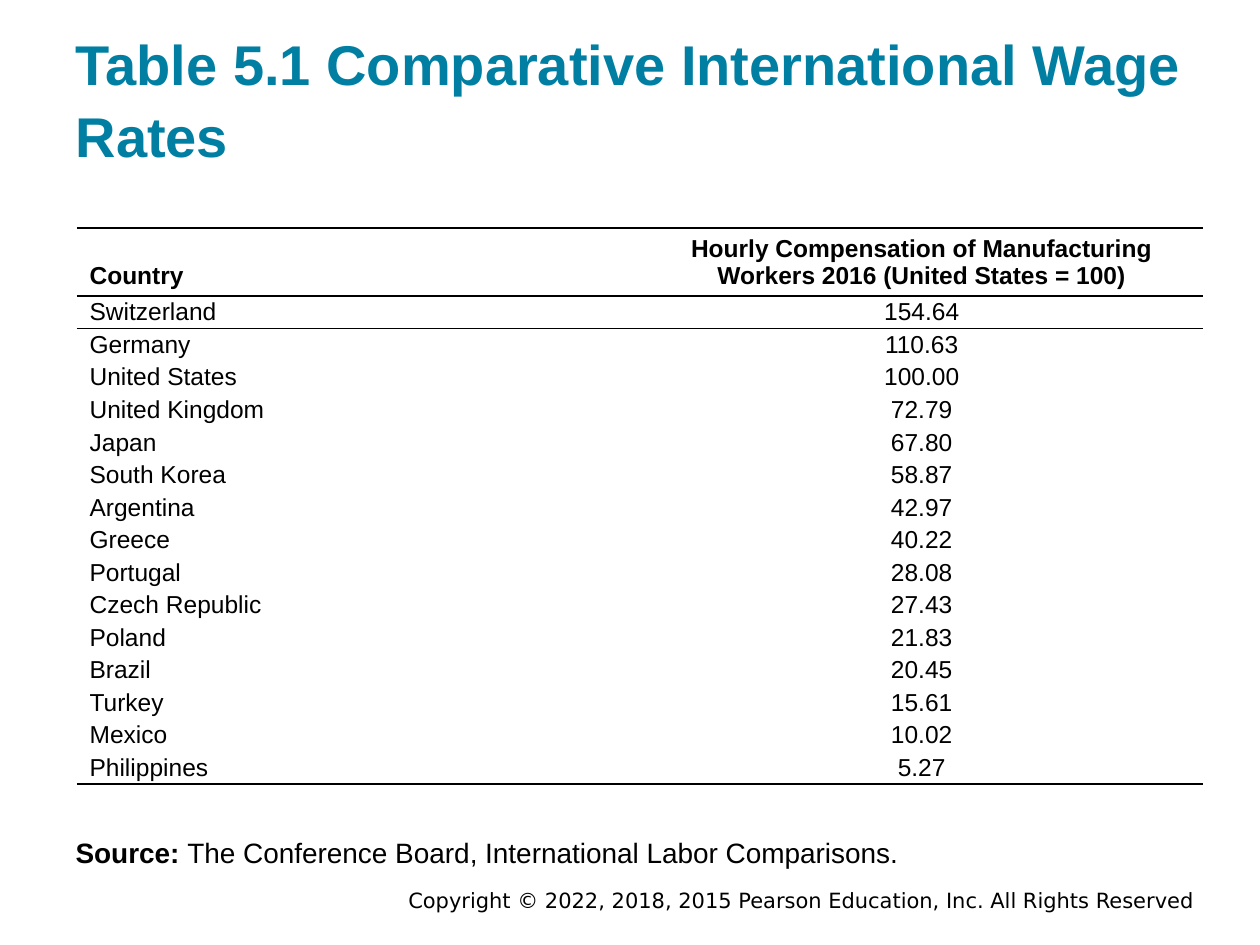
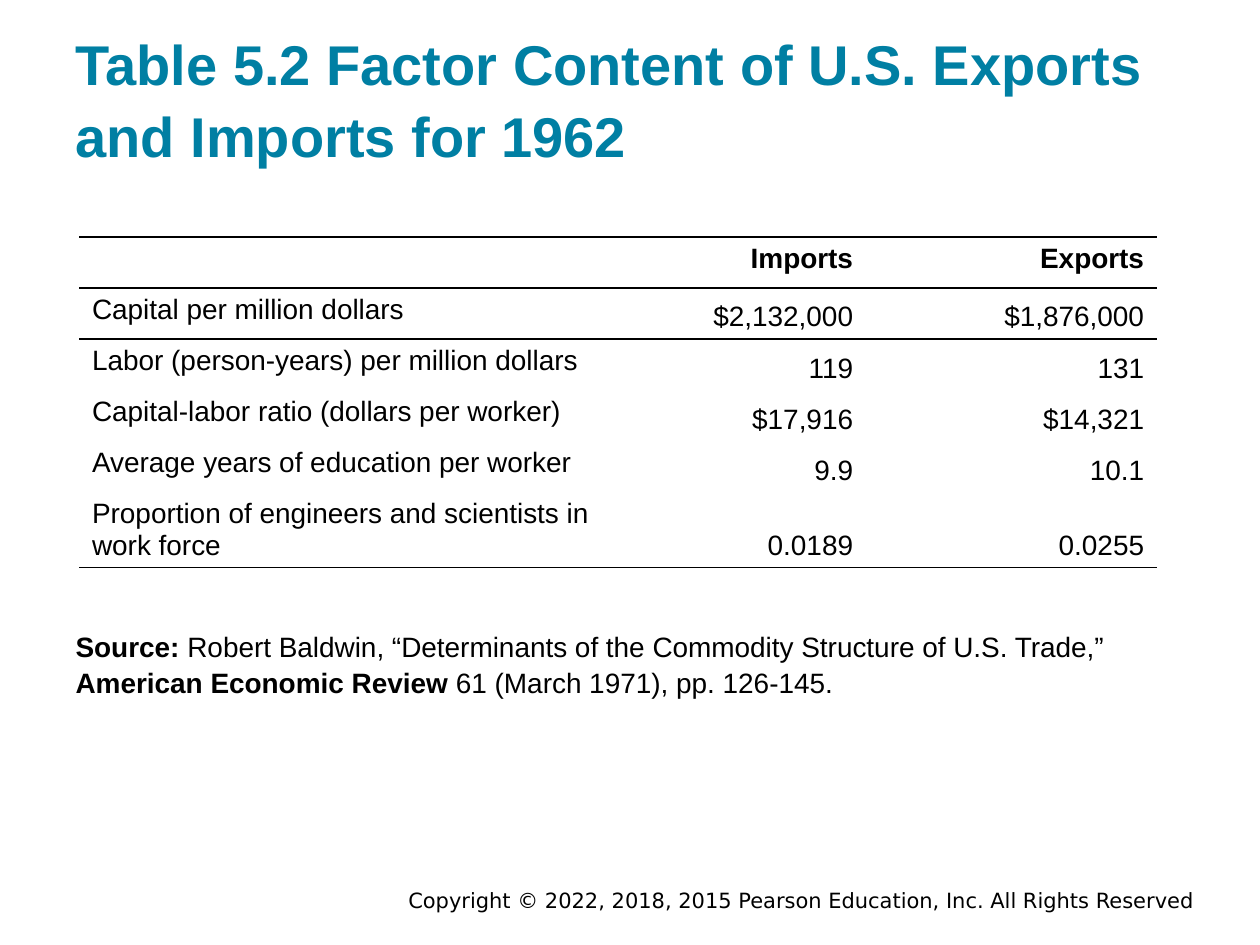
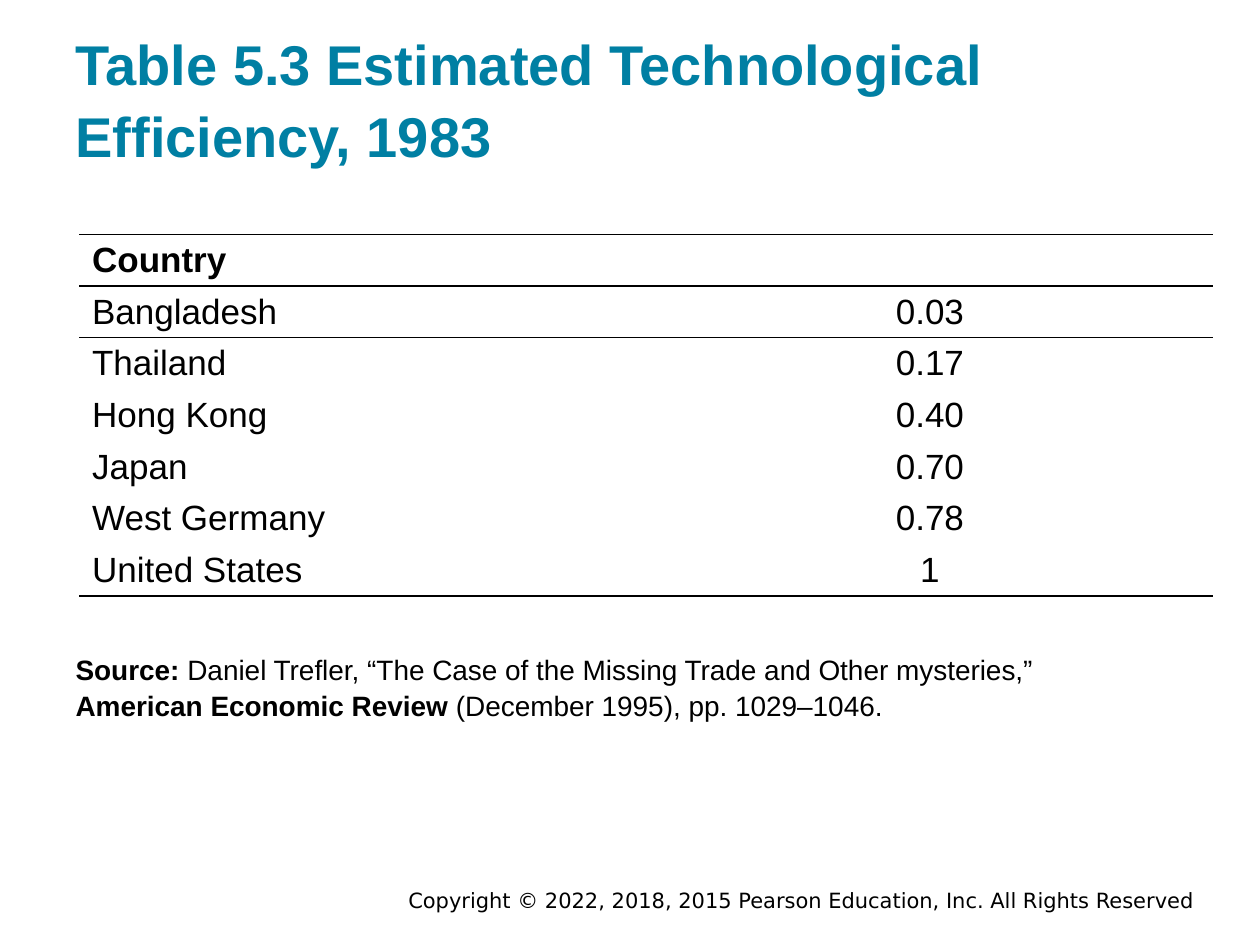
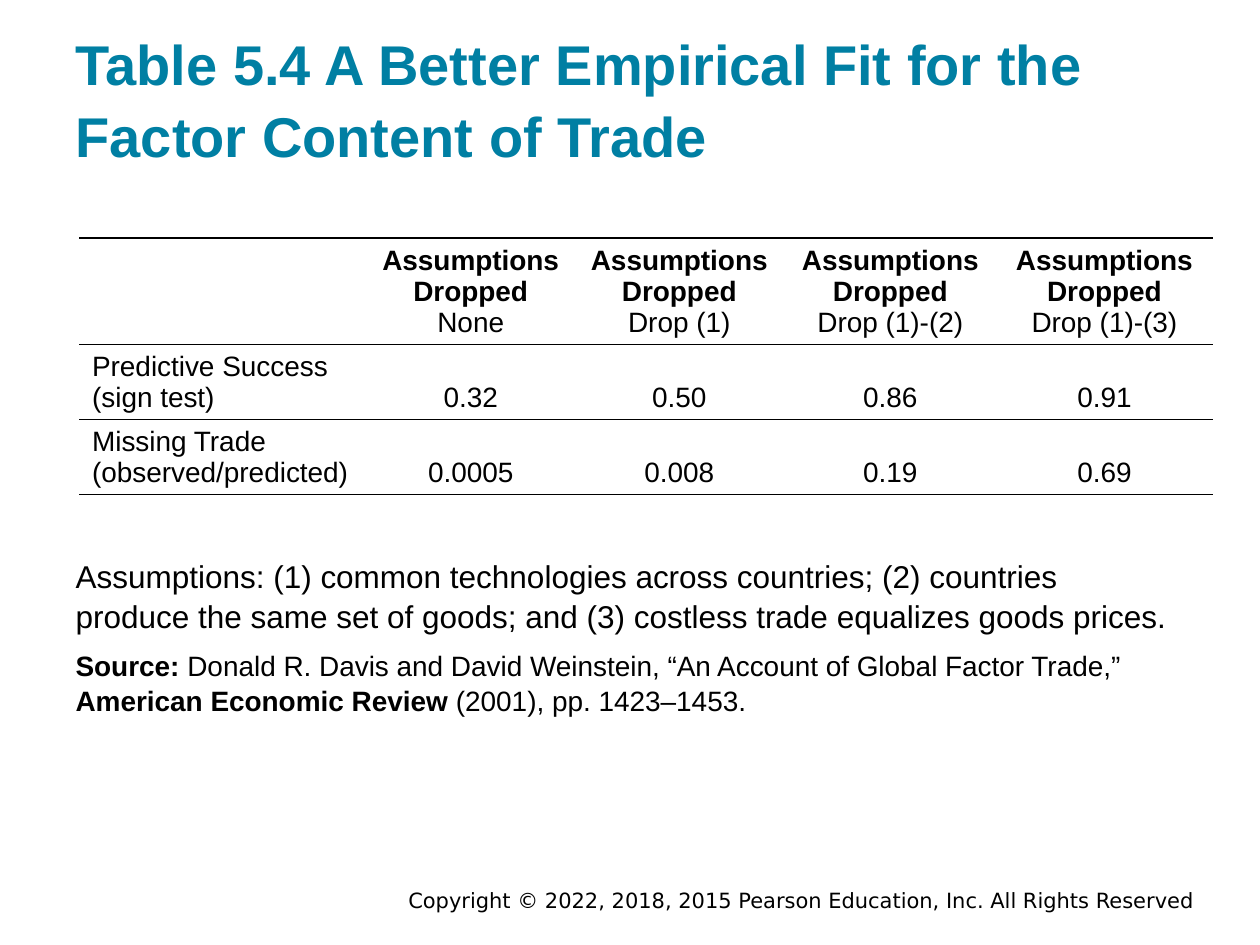
from dataclasses import dataclass

from lxml import etree
from pptx import Presentation
from pptx.dml.color import RGBColor
from pptx.enum.text import MSO_ANCHOR, MSO_AUTO_SIZE, PP_ALIGN
from pptx.oxml.ns import qn
from pptx.util import Pt

LEFT, CENTER, RIGHT = PP_ALIGN.LEFT, PP_ALIGN.CENTER, PP_ALIGN.RIGHT
TOP, MIDDLE, BOTTOM = MSO_ANCHOR.TOP, MSO_ANCHOR.MIDDLE, MSO_ANCHOR.BOTTOM
NO_FIT = MSO_AUTO_SIZE.NONE
NO_GRID = "{2D5ABB26-0587-4C30-8999-92F81FD0307C}"


@dataclass(frozen=True)
class Theme:
    ink: str = "000000"
    teal: str = "007FA3"
    paper: str = "FFFFFF"
    face: str = "Arial"
    foot_face: str = "DejaVu Sans"
    title: int = 32
    note: int = 18
    source: int = 16
    foot: int = 12
    rule: int = 1
    leading: float = 1.07


THEME = Theme()
COPYRIGHT = "Copyright © 2022, 2018, 2015 Pearson Education, Inc. All Rights Reserved"


# Shared helpers
def apply(item, formats):
    for name, value in formats.items():
        setattr(item, name, value)


def place(shape, left, top, width, height):
    apply(shape, {"left": Pt(left), "top": Pt(top),
                  "width": Pt(width), "height": Pt(height)})


def frame_up(frame, anchor, top, bottom):
    apply(frame, {"word_wrap": True, "auto_size": NO_FIT, "vertical_anchor": anchor,
                  "margin_left": Pt(7.2), "margin_right": Pt(7.2),
                  "margin_top": Pt(top), "margin_bottom": Pt(bottom)})


def add_run(par, text, size, bold=False, color=THEME.ink, face=THEME.face):
    run = par.add_run()
    run.text = text
    apply(run.font, {"name": face, "size": Pt(size), "bold": bold})
    run.font.color.rgb = RGBColor.from_string(color)


# Title at the top of each slide
def set_title(slide, text):
    title = slide.shapes.title
    place(title, 36, 17.3, 648, 86.4)
    frame_up(title.text_frame, BOTTOM, 7.2, 7.2)
    par = title.text_frame.paragraphs[0]
    apply(par, {"alignment": LEFT, "line_spacing": THEME.leading})
    add_run(par, text, THEME.title, True, THEME.teal)


# Notes below the table; text between asterisks is bold
def set_notes(slide, box, notes):
    body = slide.placeholders[1]
    place(body, *box)
    frame = body.text_frame
    frame_up(frame, TOP, 0, 7.2)
    for i, (size, text) in enumerate(notes):
        par = frame.add_paragraph() if i else frame.paragraphs[0]
        props = par._p.get_or_add_pPr()
        props.set("marL", "0")
        props.set("indent", "0")
        etree.SubElement(props, qn("a:buNone"))
        apply(par, {"alignment": LEFT, "line_spacing": THEME.leading,
                    "space_before": Pt(6 if i else 0)})
        for k, part in enumerate(text.split("*")):
            if part:
                add_run(par, part, size, k % 2 == 1)


# Table with rules above and below the head and below the last row
def add_rule(cell, side):
    props = cell._tc.get_or_add_tcPr()
    line = etree.Element(qn(f"a:{side}"), w=str(Pt(THEME.rule)))
    fill = etree.SubElement(line, qn("a:solidFill"))
    etree.SubElement(fill, qn("a:srgbClr"), val=THEME.ink)
    props.insert(0, line)


def fill_cell(cell, text, size, head, align, anchor, pad):
    cell.fill.solid()
    cell.fill.fore_color.rgb = RGBColor.from_string(THEME.paper)
    apply(cell, {"vertical_anchor": anchor, "margin_left": Pt(7.2),
                 "margin_right": Pt(7.2), "margin_top": Pt(pad),
                 "margin_bottom": Pt(pad)})
    frame = cell.text_frame
    for i, line in enumerate(text.split("\n")):
        par = frame.add_paragraph() if i else frame.paragraphs[0]
        par.alignment = align
        if line:
            add_run(par, line, size, head and i == 0)


def add_grid(slide, at, cols, heights, rows, size, align,
             anchors=(TOP, TOP, TOP), pad=3.6):
    head_anchor, label_anchor, value_anchor = anchors
    frame = slide.shapes.add_table(len(rows), len(cols), Pt(at[0]), Pt(at[1]),
                                   Pt(sum(cols)), Pt(sum(heights)))
    table = frame.table
    apply(table, {"first_row": False, "horz_banding": False})
    table._tbl.tblPr.find(qn("a:tableStyleId")).text = NO_GRID
    for col, width in zip(table.columns, cols):
        col.width = Pt(width)
    for r, (row, height) in enumerate(zip(rows, heights)):
        table.rows[r].height = Pt(height)
        head, last = r == 0, r == len(rows) - 1
        for c, text in enumerate(row):
            cell = table.cell(r, c)
            anchor = head_anchor if head else value_anchor if c else label_anchor
            fill_cell(cell, text, size, head, align if c else LEFT, anchor,
                      3.6 if head else pad)
            if head or last:
                add_rule(cell, "lnB")
            if r < 2:
                add_rule(cell, "lnT")


# Copyright line, kept on the master
def add_footer(prs, slide):
    box = slide.shapes.add_textbox(Pt(126), Pt(506.2), Pt(563.8), Pt(15.8))
    frame_up(box.text_frame, MIDDLE, 3.6, 3.6)
    par = box.text_frame.paragraphs[0]
    par.alignment = RIGHT
    add_run(par, COPYRIGHT, THEME.foot, face=THEME.foot_face)
    box.element.nvSpPr.cNvPr.set("id", "20")
    prs.slide_master.shapes.element.append(box.element)


# Content
WAGES = [
    ("Country", "Hourly Compensation of Manufacturing Workers 2016 (United States = 100)"),
    ("Switzerland", "154.64"), ("Germany", "110.63"), ("United States", "100.00"),
    ("United Kingdom", "72.79"), ("Japan", "67.80"), ("South Korea", "58.87"),
    ("Argentina", "42.97"), ("Greece", "40.22"), ("Portugal", "28.08"),
    ("Czech Republic", "27.43"), ("Poland", "21.83"), ("Brazil", "20.45"),
    ("Turkey", "15.61"), ("Mexico", "10.02"), ("Philippines", "5.27"),
]
FACTORS = [
    ("", "Imports", "Exports"),
    ("Capital per million dollars", "$2,132,000", "$1,876,000"),
    ("Labor (person-years) per million dollars", "119", "131"),
    ("Capital-labor ratio (dollars per worker)", "$17,916", "$14,321"),
    ("Average years of education per worker", "9.9", "10.1"),
    ("Proportion of engineers and scientists in work force", "0.0189", "0.0255"),
]
TECH = [
    ("Country", ""), ("Bangladesh", "0.03"), ("Thailand", "0.17"),
    ("Hong Kong", "0.40"), ("Japan", "0.70"), ("West Germany", "0.78"),
    ("United States", "1"),
]
DROPS = ("None", "Drop (1)", "Drop (1)-(2)", "Drop (1)-(3)")
FIT = [
    ("", *(f"Assumptions Dropped\n{drop}" for drop in DROPS)),
    ("Predictive Success (sign test)", "0.32", "0.50", "0.86", "0.91"),
    ("Missing Trade (observed/predicted)", "0.0005", "0.008", "0.19", "0.69"),
]

SLIDES = [
    {"title": "Table 5.1 Comparative International Wage Rates",
     "grid": {"at": (44, 130.3), "cols": [321.8] * 2, "heights": [38.9] + [18.6] * 15,
              "rows": WAGES, "size": 14, "align": CENTER,
              "anchors": (BOTTOM, TOP, TOP), "pad": 1.44},
     "box": (36, 475.9, 643.7, 23),
     "notes": [(THEME.source, "*Source: *The Conference Board, "
                "International Labor Comparisons.")]},
    {"title": "Table 5.2 Factor Content of U.S. Exports and Imports for 1962",
     "grid": {"at": (45.4, 135.4), "cols": [313.9, 135.4, 166.3],
              "heights": [29.2] * 5 + [42.9], "rows": FACTORS, "size": 16,
              "align": RIGHT, "anchors": (TOP, TOP, BOTTOM)},
     "box": (36, 358.6, 643.7, 48.2),
     "notes": [(THEME.source, "*Source: *Robert Baldwin, “Determinants of the Commodity "
                "Structure of U.S. Trade,” *American Economic Review *"
                "61 (March 1971), pp. 126-145.")]},
    {"title": "Table 5.3 Estimated Technological Efficiency, 1983",
     "grid": {"at": (45.4, 133.9), "cols": [324] * 2, "heights": [29.5] * 7,
              "rows": TECH, "size": 20, "align": CENTER},
     "box": (36, 371.5, 627.1, 48.2),
     "notes": [(THEME.source, "*Source: *Daniel Trefler, “The Case of the Missing Trade "
                "and Other mysteries,” *American Economic Review *"
                "(December 1995), pp. 1029–1046.")]},
    {"title": "Table 5.4 A Better Empirical Fit for the Factor Content of Trade",
     "grid": {"at": (45.4, 136.1), "cols": [164.9, 117.4, 121, 120.2, 124.5],
              "heights": [60.8, 42.9, 42.9], "rows": FIT, "size": 16,
              "align": CENTER, "anchors": (BOTTOM, BOTTOM, BOTTOM)},
     "box": (36, 316.8, 643.7, 100.8),
     "notes": [(THEME.note, "Assumptions: (1) common technologies across countries; "
                "(2) countries produce the same set of goods; and (3) costless trade "
                "equalizes goods prices."),
               (THEME.source, "*Source: *Donald R. Davis and David Weinstein, “An Account "
                "of Global Factor Trade,” *American Economic Review *"
                "(2001), pp. 1423–1453.")]},
]


def main():
    prs = Presentation()
    apply(prs, {"slide_width": Pt(720), "slide_height": Pt(540)})
    for page in SLIDES:
        slide = prs.slides.add_slide(prs.slide_layouts[1])
        set_title(slide, page["title"])
        add_grid(slide, **page["grid"])
        set_notes(slide, page["box"], page["notes"])
    add_footer(prs, prs.slides[0])
    prs.save("out.pptx")


if __name__ == "__main__":
    main()
